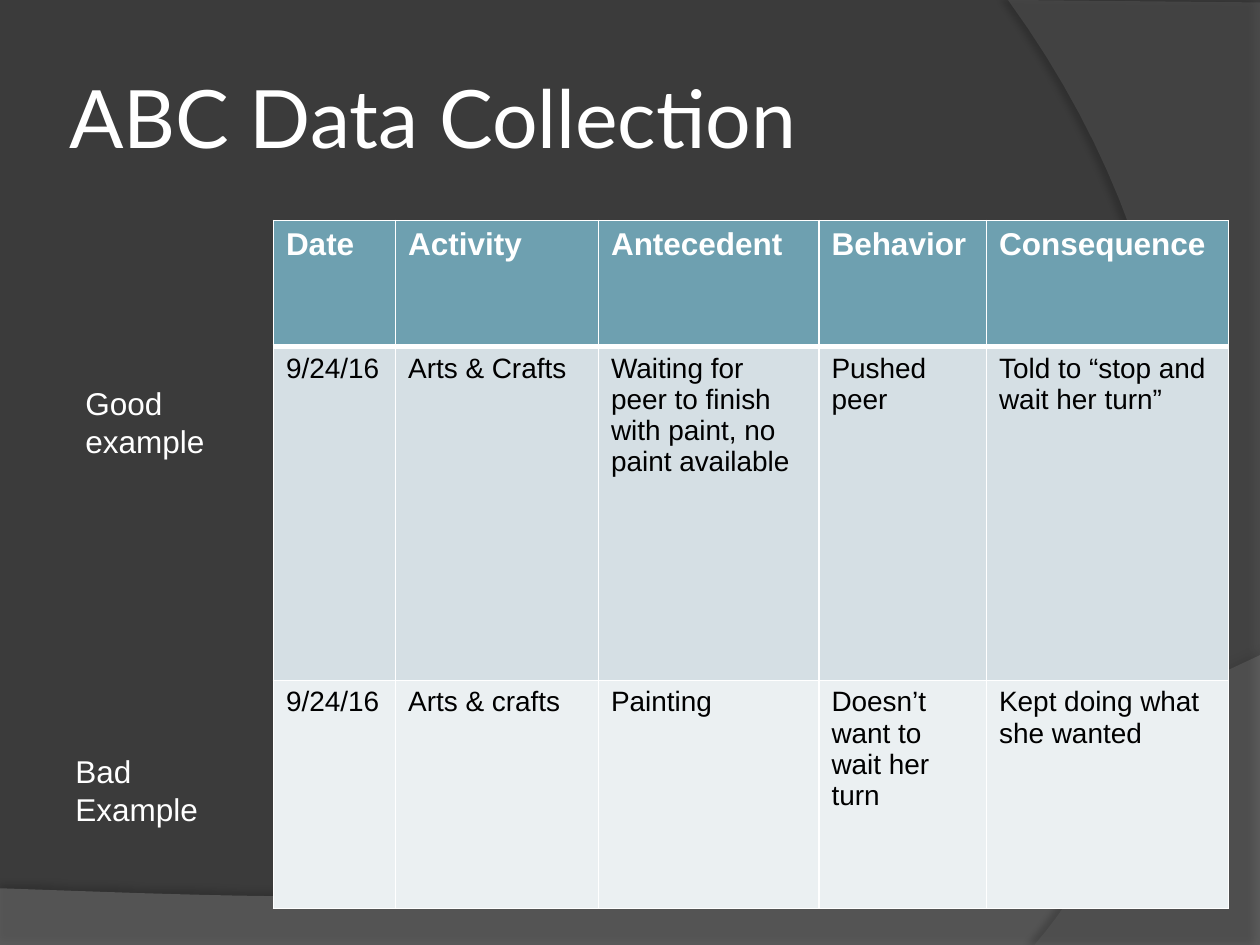
from lxml import etree
from pptx import Presentation
from pptx.dml.color import RGBColor
from pptx.enum.text import MSO_ANCHOR
from pptx.oxml.ns import qn
from pptx.util import Inches, Pt

MIDDLE, TOP = MSO_ANCHOR.MIDDLE, MSO_ANCHOR.TOP

BACKGROUND = RGBColor(0x3B, 0x3B, 0x3B)
WAVE_BOTTOM = RGBColor(0x7F, 0x7F, 0x7F)
WAVE_RIGHT = RGBColor(0x5E, 0x5E, 0x5E)
WHITE = RGBColor(0xFF, 0xFF, 0xFF)
BLACK = RGBColor(0, 0, 0)
HEADER_FILL = RGBColor(0x6E, 0xA0, 0xB0)
ROW_FILLS = [HEADER_FILL, RGBColor(0xD5, 0xDF, 0xE4), RGBColor(0xEB, 0xF0, 0xF2)]

COLUMN_WIDTHS = [0.97, 1.61, 1.75, 1.33, 1.92]
ROW_HEIGHTS = [1, 2.65, 1.81]
ROWS = [
    ["Date", "Activity", "Antecedent", "Behavior", "Consequence"],
    ["9/24/16", "Arts & Crafts",
     "Waiting for peer to finish with paint, no paint available",
     "Pushed peer", "Told to “stop and wait her turn”"],
    ["9/24/16", "Arts & crafts", "Painting",
     "Doesn’t want to wait her turn", "Kept doing what she wanted"],
]


def add_child(parent, tag, **attributes):
    """Append a drawing element and return it."""
    child = etree.SubElement(parent, qn(tag))
    for name, value in attributes.items():
        child.set(name, str(value))
    return child


def curve(p0, p1, p2, p3, steps=40):
    """Return points along a cubic Bezier curve."""
    points = []
    for i in range(steps + 1):
        t = i / steps
        u = 1 - t
        weights = (u ** 3, 3 * u * u * t, 3 * u * t * t, t ** 3)
        points.append(tuple(sum(w * p[axis] for w, p in zip(weights, (p0, p1, p2, p3)))
                            for axis in (0, 1)))
    return points


def add_wave(slide, points, color, opacity, shadow_opacity, distance, angle):
    """Draw a translucent outline with a soft shadow."""
    points = [(Inches(x), Inches(y)) for x, y in points]
    builder = slide.shapes.build_freeform(*points[0])
    builder.add_line_segments(points[1:], close=True)
    sp = builder.convert_to_shape()
    sp.fill.solid()
    sp.fill.fore_color.rgb = color
    sp.line.fill.background()
    sp.shadow.inherit = False
    properties = sp.element.spPr
    add_child(properties.find(qn("a:solidFill"))[0], "a:alpha", val=opacity * 1000)
    shadow = add_child(properties.find(qn("a:effectLst")), "a:outerShdw",
                       blurRad=Pt(4), dist=Pt(distance), dir=angle * 60000,
                       algn="ctr", rotWithShape=0)
    shadow_color = add_child(shadow, "a:srgbClr", val=BLACK)
    add_child(shadow_color, "a:alpha", val=shadow_opacity * 1000)


def add_run(p, text, size, color, font="Arial", bold=False):
    """Add one formatted run."""
    r = p.add_run()
    r.text = text
    r.font.name = font
    r.font.size = Pt(size)
    r.font.bold = bold
    r.font.color.rgb = color


def add_text(slide, box, text, size, font="Arial", anchor=TOP, side_inset=0.1):
    """Add a wrapped white text box."""
    tf = slide.shapes.add_textbox(*map(Inches, box)).text_frame
    tf.word_wrap = True
    tf.vertical_anchor = anchor
    tf.margin_left = tf.margin_right = Inches(side_inset)
    add_run(tf.paragraphs[0], text, size, WHITE, font)


def set_borders(cell, top, bottom):
    """Give a cell white borders of the given top and bottom widths."""
    properties = cell._tc.get_or_add_tcPr()
    for side, width in (("L", 1), ("R", 1), ("T", top), ("B", bottom)):
        line = add_child(properties, "a:ln" + side, w=Pt(width))
        add_child(add_child(line, "a:solidFill"), "a:srgbClr", val=WHITE)


def add_data_table(slide, left, top):
    """Add the table of observations."""
    table = slide.shapes.add_table(
        len(ROWS), len(COLUMN_WIDTHS), Inches(left), Inches(top),
        Inches(sum(COLUMN_WIDTHS)), Inches(sum(ROW_HEIGHTS))).table
    for column, width in zip(table.columns, COLUMN_WIDTHS):
        column.width = Inches(width)
    for i, (row, height, texts) in enumerate(zip(table.rows, ROW_HEIGHTS, ROWS)):
        row.height = Inches(height)
        header = i == 0
        for cell, text in zip(row.cells, texts):
            set_borders(cell, 3 if i == 1 else 1, 3 if header else 1)
            cell.fill.solid()
            cell.fill.fore_color.rgb = ROW_FILLS[i]
            add_run(cell.text_frame.paragraphs[0], text, 18 if header else 16,
                    WHITE if header else BLACK, bold=header)


def main():
    """Build the slide and save it."""
    prs = Presentation()
    prs.slide_width, prs.slide_height = Inches(10), Inches(7.5)
    slide = prs.slides.add_slide(prs.slide_layouts[6])
    slide.background.fill.solid()
    slide.background.fill.fore_color.rgb = BACKGROUND

    bottom = [(0, 7.5), (10, 7.5)] + curve((10, 5.2), (5.59, 7.29), (3.91, 7.19), (0, 7.05))
    right = [(10, 0.02), (10, 7.5)] + curve((8.21, 7.5), (9.35, 6.19), (10.18, 3), (8, 0))
    add_wave(slide, bottom, WAVE_BOTTOM, 45, 35, 3.5, 270)
    add_wave(slide, right, WAVE_RIGHT, 40, 45, 4, 180)

    add_text(slide, (0.5, 0.3, 8.17, 1.25), "ABC Data Collection", 46, "Lato", MIDDLE, 0.05)
    add_data_table(slide, 2.17, 1.75)
    add_text(slide, (0.58, 3, 1.42, 0.71), "Good example", 18)
    add_text(slide, (0.5, 5.92, 1.33, 0.71), "Bad Example", 18)
    prs.save("out.pptx")


main()
